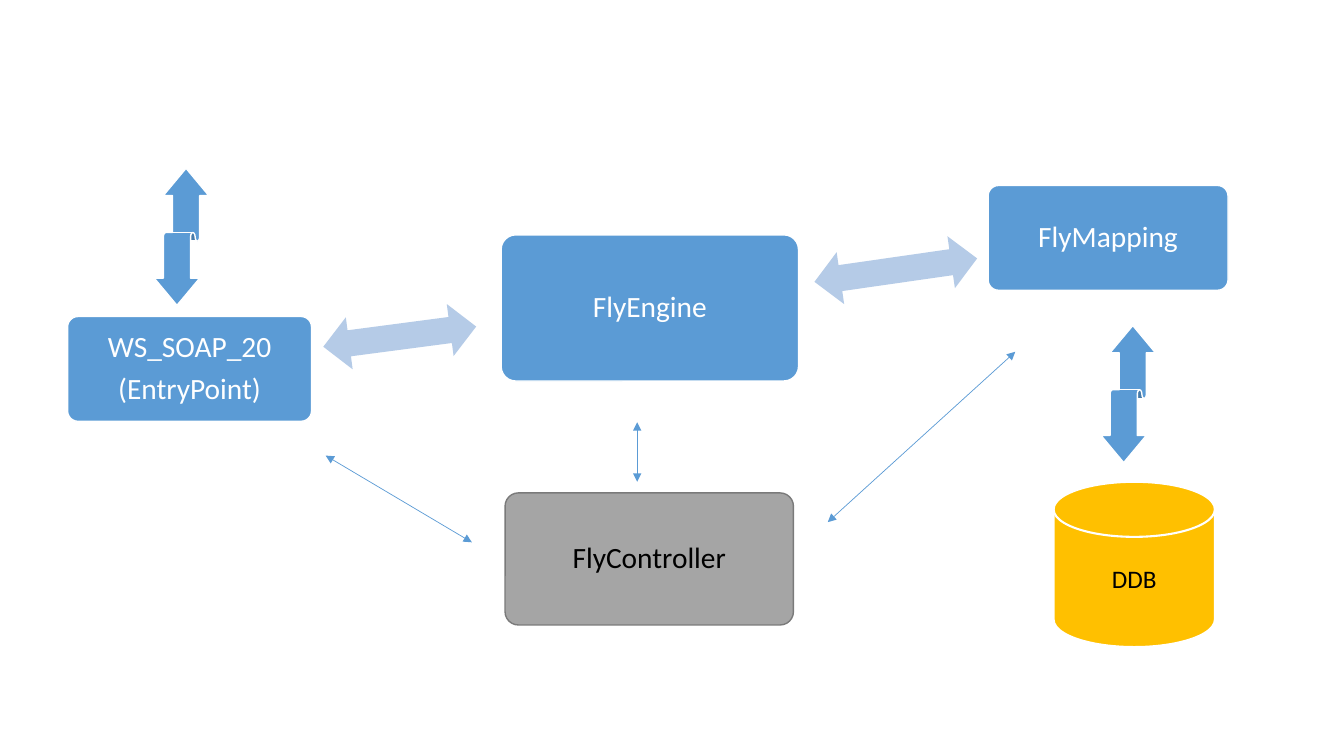
import pptx
import pptx.util
import pptx.dml.color
import pptx.enum.shapes
import pptx.enum.text
import pptx.oxml.ns
import lxml.etree
from dataclasses import dataclass

SHAPE = pptx.enum.shapes.MSO_SHAPE
PX = 9144  # EMU per px, 100 px to the inch


@dataclass(frozen=True)
class Theme:
    font: str = "Calibri"
    blue: str = "5B9BD5"
    pale_blue: str = "B5CBE7"
    gray: str = "A5A5A5"
    dark_gray: str = "7A7A7A"
    gold: str = "FFC000"
    white: str = "FFFFFF"
    black: str = "000000"
    module_size: int = 21
    database_size: int = 18


THEME = Theme()

# Content: boxes are (left, top, width, height) in px
MODULES = [
    (["WS_SOAP_20", "(EntryPoint)"], (67, 314, 242, 104), THEME.blue, THEME.white, THEME.white),
    (["FlyEngine"], (497, 233, 295, 145), THEME.blue, THEME.white, THEME.white),
    (["FlyMapping"], (980, 184, 238, 104), THEME.blue, THEME.white, THEME.white),
    (["FlyController"], (501, 489, 286, 131), THEME.gray, THEME.dark_gray, THEME.black),
]
DATABASE = (["DDB"], (1045, 478, 160, 164))
RIBBONS = [(112, 208, 136, 54), (1051, 364, 136, 54)]
FLOWS = [((320, 308, 153, 52), 352.5), ((807, 242, 163, 52), 351.8)]
CONTROL_LINKS = [
    ((323, 452), (468, 538)),
    ((1007, 349), (821, 518)),
    ((632, 419), (632, 478)),
]


def px(*lengths):
    return [pptx.util.Emu(length * PX) for length in lengths]


def rgb(color):
    return pptx.dml.color.RGBColor.from_string(color)


def add_block(slide, kind, box, fill, outline=None, width=1, rotation=0):
    block = slide.shapes.add_shape(kind, *px(*box))
    block.shadow.inherit = False
    block.rotation = rotation
    block.fill.solid()
    block.fill.fore_color.rgb = rgb(fill)
    if outline:
        block.line.color.rgb = rgb(outline)
        block.line.width = pptx.util.Pt(width)
    else:
        block.line.fill.background()
    return block


def write(block, lines, size, color, spacing=1.0, after=0):
    frame = block.text_frame
    frame.word_wrap = True
    frame.vertical_anchor = pptx.enum.text.MSO_ANCHOR.MIDDLE
    for index, line in enumerate(lines):
        paragraph = frame.add_paragraph() if index else frame.paragraphs[0]
        paragraph.text = line
        paragraph.alignment = pptx.enum.text.PP_ALIGN.CENTER
        paragraph.line_spacing = spacing
        paragraph.space_after = pptx.util.Pt(after)
        paragraph.font.name = THEME.font
        paragraph.font.size = pptx.util.Pt(size)
        paragraph.font.color.rgb = rgb(color)


def add_control_link(slide, start, end):
    link = slide.shapes.add_connector(
        pptx.enum.shapes.MSO_CONNECTOR.STRAIGHT, *px(*start, *end))
    link.line.color.rgb = rgb(THEME.blue)
    link.line.width = pptx.util.Pt(0.5)
    qn = pptx.oxml.ns.qn
    properties = link.element.spPr
    outline = properties.find(qn("a:ln"))
    for tip in ("a:headEnd", "a:tailEnd"):
        lxml.etree.SubElement(outline, qn(tip), type="triangle")
    lxml.etree.SubElement(properties, qn("a:effectLst"))


def main():
    deck = pptx.Presentation()
    deck.slide_width, deck.slide_height = px(1333, 750)
    slide = deck.slides.add_slide(deck.slide_layouts[6])

    # Ribbons to the outside and to the database
    for box in RIBBONS:
        add_block(slide, SHAPE.LEFT_RIGHT_RIBBON, box, THEME.blue, THEME.white, rotation=90)

    # Modules
    for lines, box, fill, outline, color in MODULES:
        module = add_block(slide, SHAPE.ROUNDED_RECTANGLE, box, fill, outline)
        module.adjustments[0] = 0.1
        write(module, lines, THEME.module_size, color, spacing=0.9, after=7)

    # Data flows between modules
    for box, rotation in FLOWS:
        add_block(slide, SHAPE.LEFT_RIGHT_ARROW, box, THEME.pale_blue, rotation=rotation)

    # Database
    lines, box = DATABASE
    database = add_block(slide, SHAPE.FLOWCHART_MAGNETIC_DISK, box, THEME.gold, THEME.white, 1.5)
    write(database, lines, THEME.database_size, THEME.black)

    # Links to the controller
    for start, end in CONTROL_LINKS:
        add_control_link(slide, start, end)

    deck.save("out.pptx")


if __name__ == "__main__":
    main()
